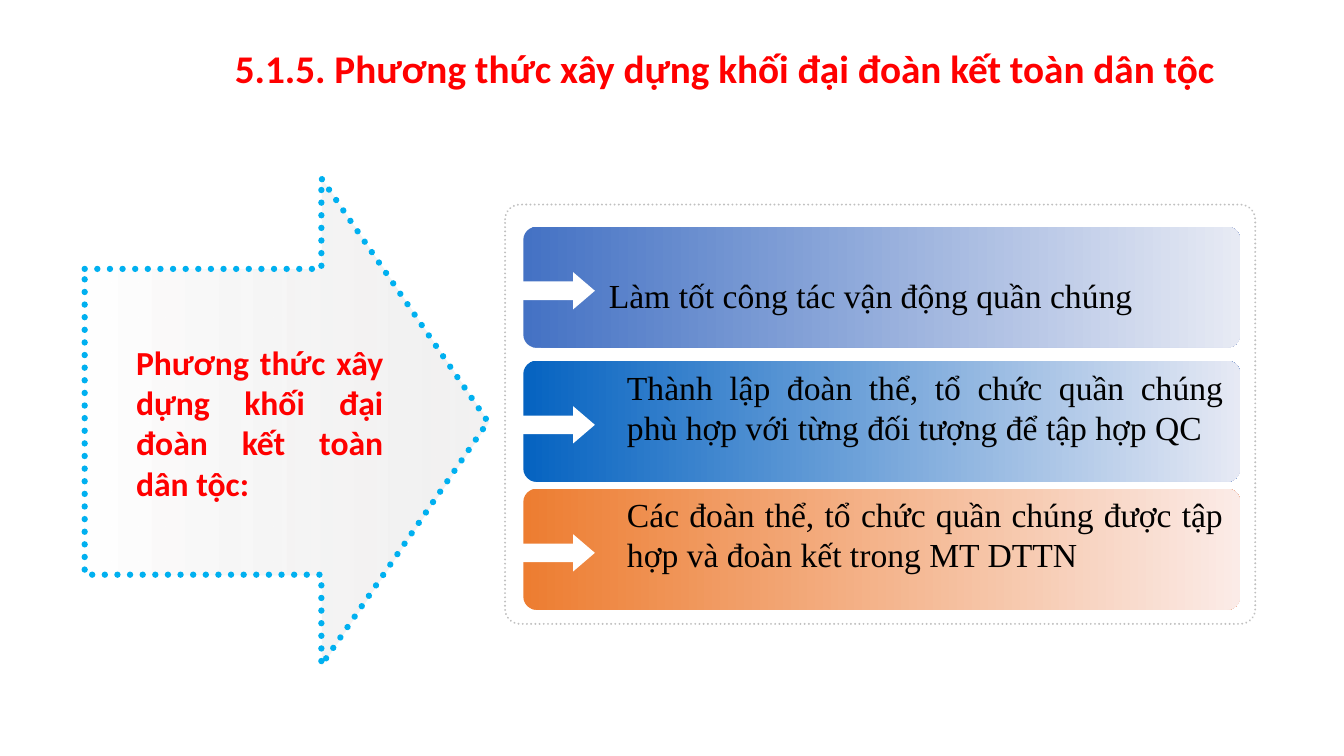
"""Build the slide on ways of building the great national unity bloc."""
from dataclasses import dataclass

from lxml.etree import SubElement
from pptx import Presentation
from pptx.dml.color import RGBColor
from pptx.enum.dml import MSO_LINE
from pptx.enum.shapes import MSO_SHAPE as Form
from pptx.enum.text import MSO_ANCHOR as Anchor, PP_ALIGN as Align
from pptx.oxml.ns import qn
from pptx.shapes.autoshape import Shape
from pptx.slide import Slide
from pptx.util import Pt

PX = 9144
HUES = {
    "red": "FF0000", "black": "000000", "white": "FFFFFF", "gray": "E7E6E6",
    "cyan": "00B0F0", "edge": "C0C0C0", "blue": "4472C4", "pale blue": "E7EAF4",
    "deep": "0563C1", "pale deep": "E6E9F4", "orange": "ED7D31", "pale orange": "FBEBE7",
}
SERIF, SANS = "Times New Roman", "Calibri"


@dataclass(frozen=True)
class Box:
    left: int
    top: int
    width: int
    height: int

    def emu(self) -> tuple[int, ...]:
        return tuple(n * PX for n in (self.left, self.top, self.width, self.height))


@dataclass(frozen=True)
class Bar:
    top: int
    hue: str
    text: str
    label: Box


BARS = (
    Bar(225, "blue", "Làm tốt công tác vận động quần chúng", Box(594, 268, 611, 50)),
    Bar(358, "deep", "Thành lập đoàn thể, tổ chức quần chúng phù hợp với từng "
        "đối tượng để tập hợp QC", Box(612, 359, 611, 91)),
    Bar(485, "orange", "Các đoàn thể, tổ chức quần chúng được tập hợp và đoàn kết "
        "trong MT DTTN", Box(612, 485, 611, 91)),
)


def tint(name: str) -> RGBColor:
    return RGBColor.from_string(HUES[name])


def draw(slide: Slide, form: Form, box: Box, *adjust: float) -> Shape:
    shape = slide.shapes.add_shape(form, *box.emu())
    shape.shadow.inherit = False
    shape.fill.background()
    shape.line.fill.background()
    for i, value in enumerate(adjust):
        shape.adjustments[i] = value
    return shape


def blend(shape: Shape, start: str, end: str) -> None:
    shape.fill.gradient()
    shape.fill.gradient_angle = 0
    for stop, name in zip(shape.fill.gradient_stops, (start, end)):
        stop.color.rgb = tint(name)


def dot(shape: Shape, name: str, width: float) -> None:
    shape.line.color.rgb = tint(name)
    shape.line.width = Pt(width)
    shape.line.dash_style = MSO_LINE.ROUND_DOT
    shape.element.spPr.find(qn("a:ln")).set("cap", "rnd")


def write(slide: Slide, box: Box, text: str, font: str = SERIF, size: int = 24,
          hue: str = "black", bold: bool = False, align: Align = Align.JUSTIFY,
          left: int = 10, top: int = 5, space: float = 1.0) -> None:
    frame = slide.shapes.add_textbox(*box.emu()).text_frame
    frame.word_wrap = True
    frame.vertical_anchor = Anchor.TOP
    frame.margin_left, frame.margin_top = left * PX, top * PX
    para = frame.paragraphs[0]
    para.alignment = align
    para.line_spacing = space
    run = para.add_run()
    run.text = text
    run.font.name = font
    run.font.size = Pt(size)
    run.font.bold = bold
    run.font.color.rgb = tint(hue)


def point(slide: Slide) -> None:
    arrow = draw(slide, Form.RIGHT_ARROW, Box(84, 177, 400, 483), 0.628, 0.413)
    blend(arrow, "white", "gray")
    last = arrow.element.spPr.findall(".//" + qn("a:srgbClr"))[1]
    SubElement(last, qn("a:alpha")).set("val", "50000")
    dot(arrow, "cyan", 4.5)
    write(slide, Box(112, 334, 278, 172),
          "Phương thức xây dựng khối đại đoàn kết toàn dân tộc:",
          SANS, hue="red", bold=True, left=23)


def stack(slide: Slide) -> None:
    dot(draw(slide, Form.ROUNDED_RECTANGLE, Box(501, 203, 744, 416), 0.035), "edge", 1.5)
    for bar in BARS:
        band = draw(slide, Form.ROUNDED_RECTANGLE, Box(519, bar.top, 711, 120), 0.109)
        blend(band, bar.hue, "pale " + bar.hue)
        arrow = draw(slide, Form.RIGHT_ARROW, Box(512, bar.top + 45, 78, 37), 0.5, 0.583)
        arrow.fill.solid()
        arrow.fill.fore_color.rgb = tint("white")
        write(slide, bar.label, bar.text)


def main() -> None:
    deck = Presentation()
    deck.slide_width, deck.slide_height = 1333 * PX, 750 * PX
    slide = deck.slides.add_slide(deck.slide_layouts[6])
    write(slide, Box(223, 40, 1018, 104),
          "5.1.5. Phương thức xây dựng khối đại đoàn kết toàn dân tộc",
          SANS, 28, "red", True, Align.LEFT, top=9, space=0.9)
    point(slide)
    stack(slide)
    deck.save("out.pptx")


if __name__ == "__main__":
    main()
